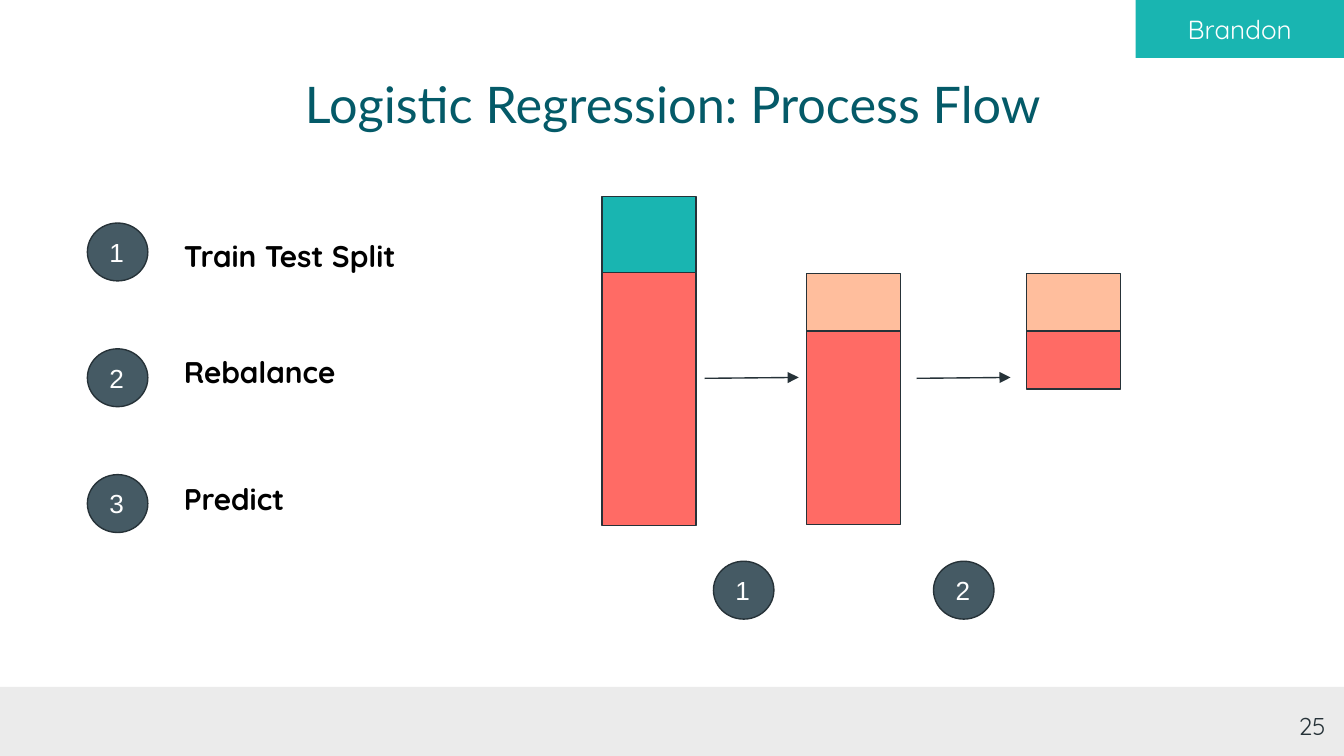
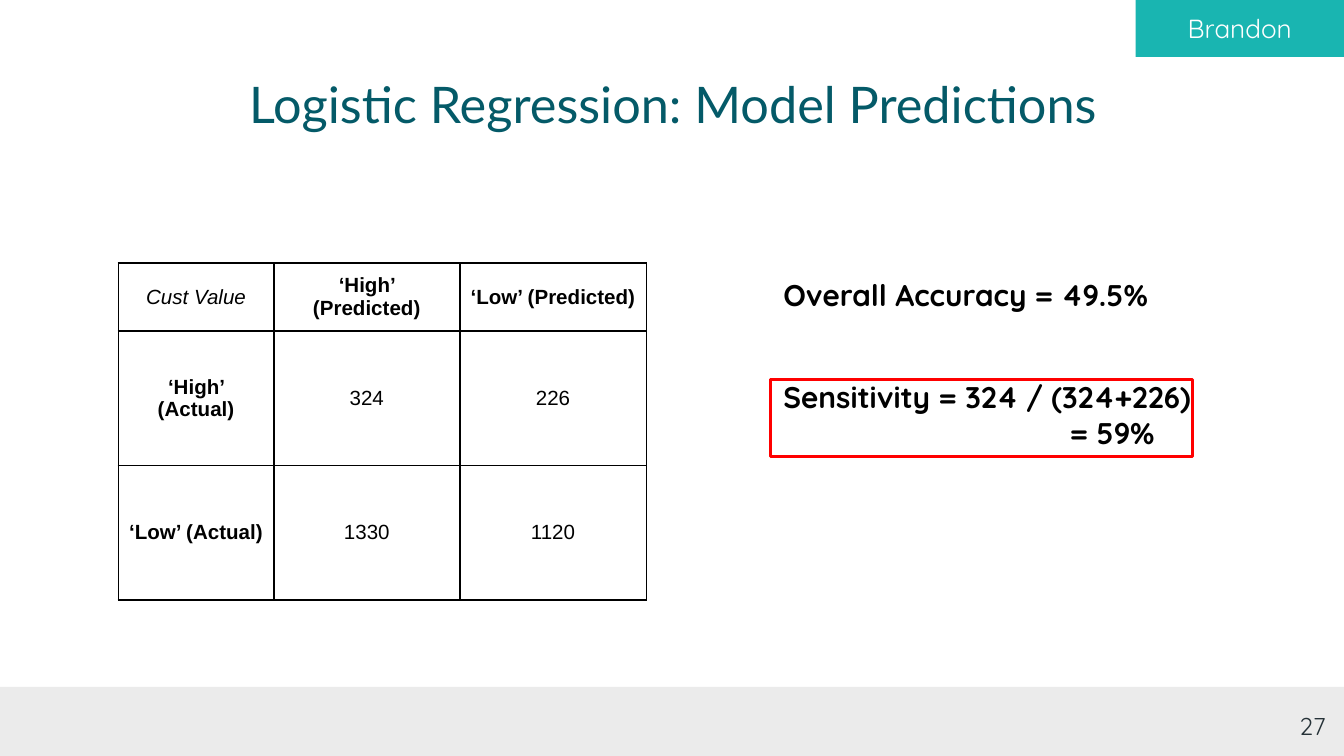
from pptx import Presentation, util as u
from pptx.dml import color
from pptx.enum import shapes, text
from pptx.oxml import parse_xml
from pptx.oxml import ns

TEAL, CORAL, PEACH = "19B5B1", "FF6B65", "FFBE9D"
SLATE, INK, DEEP_TEAL = "455A64", "263238", "045A68"
GREY, RED, WHITE, BLACK = "EBEBEB", "FF0000", "FFFFFF", "000000"
LEFT, CENTER, RIGHT = text.PP_ALIGN.LEFT, text.PP_ALIGN.CENTER, text.PP_ALIGN.RIGHT
TOP, MIDDLE = text.MSO_ANCHOR.TOP, text.MSO_ANCHOR.MIDDLE
RECTANGLE, OVAL = shapes.MSO_SHAPE.RECTANGLE, shapes.MSO_SHAPE.OVAL

TITLE_FONT = {"name": "Lato", "size": u.Pt(27), "color": DEEP_TEAL}
PAGE_FONT = {"name": "Quicksand", "size": u.Pt(13), "color": INK}
TAG_FONT = {"name": "Quicksand", "size": u.Pt(14), "color": WHITE}
LABEL_FONT = {"name": "Quicksand", "size": u.Pt(16), "color": BLACK, "bold": True}
BADGE_FONT = {"name": "Arial", "size": u.Pt(14), "color": WHITE}
CELL_FONT = {"name": "Arial", "size": u.Pt(11), "color": BLACK}

BADGE_SIZE = (32.4, 31)
BAR_WIDTH = 50.4


def rgb(value):
    """Turn a hex string into a colour."""
    return color.RGBColor.from_string(value)


def points(box):
    """Turn the numbers of a box into lengths."""
    return [u.Pt(value) for value in box]


def set_format(target, values):
    """Set each value of a dict as an attribute of the target."""
    for name, value in values.items():
        if name == "color":
            target.color.rgb = rgb(value)
        else:
            setattr(target, name, value)


def set_margins(target, inset, anchor):
    """Give a text frame or a cell equal margins and an anchor."""
    values = {f"margin_{side}": u.Pt(inset) for side in ("left", "right", "top", "bottom")}
    set_format(target, {**values, "vertical_anchor": anchor})


def write(frame, lines, font, align=LEFT):
    """Write each line as one paragraph."""
    for index, line in enumerate(lines):
        paragraph = frame.paragraphs[0] if index == 0 else frame.add_paragraph()
        paragraph.alignment = align
        run = paragraph.add_run()
        run.text = line
        set_format(run.font, font)


def add_text(slide, box, lines, font, align=LEFT, anchor=TOP):
    """Add a wrapped text box."""
    frame = slide.shapes.add_textbox(*points(box)).text_frame
    frame.word_wrap = True
    set_margins(frame, 7.2, anchor)
    write(frame, lines, font, align)
    return frame


def add_figure(container, kind, box, fill=None, line=None, width=0.75):
    """Add a preset shape with an optional fill and outline."""
    shape = container.add_shape(kind, *points(box))
    shape.shadow.inherit = False
    if fill:
        shape.fill.solid()
        shape.fill.fore_color.rgb = rgb(fill)
    else:
        shape.fill.background()
    if line:
        set_format(shape.line, {"color": line, "width": u.Pt(width)})
    else:
        shape.line.fill.background()
    return shape


def add_labelled(slide, kind, box, label, font, fill, line=None, align=LEFT, anchor=TOP):
    """Add a filled shape that carries a label."""
    frame = add_figure(slide.shapes, kind, box, fill, line).text_frame
    frame.word_wrap = True
    set_margins(frame, 7.2, anchor)
    write(frame, [label], font, align)


def add_badge(slide, left, top, number):
    """Add a numbered circle."""
    add_labelled(slide, OVAL, (left, top, *BADGE_SIZE), str(number), BADGE_FONT,
                 SLATE, INK, anchor=MIDDLE)


def add_arrow(slide, left, top, length):
    """Add a slightly rising arrow."""
    ends = points((left, top, left + length, top - 0.5))
    arrow = slide.shapes.add_connector(shapes.MSO_CONNECTOR.STRAIGHT, *ends)
    set_format(arrow.line, {"color": INK, "width": u.Pt(0.75)})
    line = arrow.line._get_or_add_ln()
    line.append(parse_xml(f'<a:tailEnd {ns.nsdecls("a")} type="triangle"/>'))
    line.addnext(parse_xml(f'<a:effectLst {ns.nsdecls("a")}/>'))


def add_stack(container, left, top, parts):
    """Stack coloured bars downwards from the top."""
    for fill, height in parts:
        add_figure(container, RECTANGLE, (left, top, BAR_WIDTH, height), fill, INK)
        top += height


def add_base(presentation, title, page, tag_top=0):
    """Add a slide with footer band, title, page number and name tag."""
    slide = presentation.slides.add_slide(presentation.slide_layouts[6])
    add_figure(slide.shapes, RECTANGLE, (0, 368, 720, 37), GREY)
    add_text(slide, (56.9, 42.5, 607, 25.2), [title], TITLE_FONT, CENTER, MIDDLE)
    add_text(slide, (674, 373.7, 43.2, 31), [str(page)], PAGE_FONT, RIGHT)
    add_labelled(slide, RECTANGLE, (608.4, tag_top, 111.6, 31), "Brandon", TAG_FONT,
                 TEAL, align=CENTER)
    return slide


def add_steps(slide, left, top, steps):
    """List numbered steps, each with its label at an offset from the top."""
    for index, (label, offset) in enumerate(steps):
        add_badge(slide, left, top + 67.4 * index, index + 1)
        add_text(slide, (left + 44.6, top + offset, 175, 41), [label], LABEL_FONT)


def add_flow(slide, left, top):
    """Draw the three data stacks with the arrows and badges between them."""
    add_stack(slide.shapes, left, top, [(TEAL, 40.8), (CORAL, 135.4)])
    for offset, height in ((109.4, 103.7), (227.2, 31)):
        group = slide.shapes.add_group_shape()
        add_stack(group.shapes, left + offset, top + 41.2, [(PEACH, 31), (CORAL, height)])
    for number, arrow, badge in ((1, 54.9, 59.6), (2, 168.4, 177.5)):
        add_arrow(slide, left + arrow, top + 97.5, 50.4)
        add_badge(slide, left + badge, top + 195.5, number)


def add_border(cell):
    """Draw a thin black border round a cell."""
    properties = cell._tc.get_or_add_tcPr()
    for index, side in enumerate("LRTB"):
        properties.insert(index, parse_xml(
            f'<a:ln{side} {ns.nsdecls("a")} w="{u.Pt(1)}"><a:solidFill>'
            f'<a:srgbClr val="{BLACK}"/></a:solidFill></a:ln{side}>'))


def add_confusion_matrix(slide, left, top, rows):
    """Add the table of actual against predicted values."""
    widths, heights = (83.3, 99.6, 100), (34.4, 72, 72)
    box = (left, top, sum(widths), sum(heights))
    table = slide.shapes.add_table(len(rows), len(widths), *points(box)).table
    set_format(table, {"first_row": False, "horz_banding": False})
    for column, width in zip(table.columns, widths):
        column.width = u.Pt(width)
    for row, height in zip(table.rows, heights):
        row.height = u.Pt(height)
    for i, values in enumerate(rows):
        for j, value in enumerate(values):
            cell = table.cell(i, j)
            cell.fill.background()
            set_margins(cell, 5, MIDDLE)
            style = {"italic": i == j == 0, "bold": (i == 0) != (j == 0)}
            write(cell.text_frame, [value], {**CELL_FONT, **style}, CENTER)
            add_border(cell)


def add_scores(slide, left, top):
    """Add the accuracy and the framed sensitivity."""
    add_text(slide, (left, top, 241.2, 41), ["Overall Accuracy = 49.5%"], LABEL_FONT)
    frame = add_text(slide, (left, top + 54.7, 241.2, 41),
                     ["Sensitivity = 324 / (324+226)", "= 59%"], LABEL_FONT)
    frame.paragraphs[1]._p.get_or_add_pPr().set("marL", str(u.Pt(153.4)))
    add_figure(slide.shapes, RECTANGLE, (left, top + 62.3, 226.1, 41.3), line=RED, width=1.5)


def build_process(presentation):
    """Build the process flow slide."""
    slide = add_base(presentation, "Logistic Regression: Process Flow", 25)
    add_steps(slide, 46.8, 119.5,
              [("Train Test Split", 0.7), ("Rebalance", 62.7), ("Predict", 131)])
    add_flow(slide, 322.6, 105.2)


def build_predictions(presentation):
    """Build the model predictions slide."""
    slide = add_base(presentation, "Logistic Regression: Model Predictions", 27, -0.5)
    add_confusion_matrix(slide, 63.4, 141, [
        ("Cust Value", "‘High’ (Predicted)", "‘Low’ (Predicted)"),
        ("‘High’ (Actual)", "324", "226"),
        ("‘Low’ (Actual)", "1330", "1120"),
    ])
    add_scores(slide, 412.6, 141)


def main():
    """Build and save the presentation."""
    presentation = Presentation()
    set_format(presentation, {"slide_width": u.Pt(720), "slide_height": u.Pt(405)})
    build_process(presentation)
    build_predictions(presentation)
    presentation.save("out.pptx")


if __name__ == "__main__":
    main()
